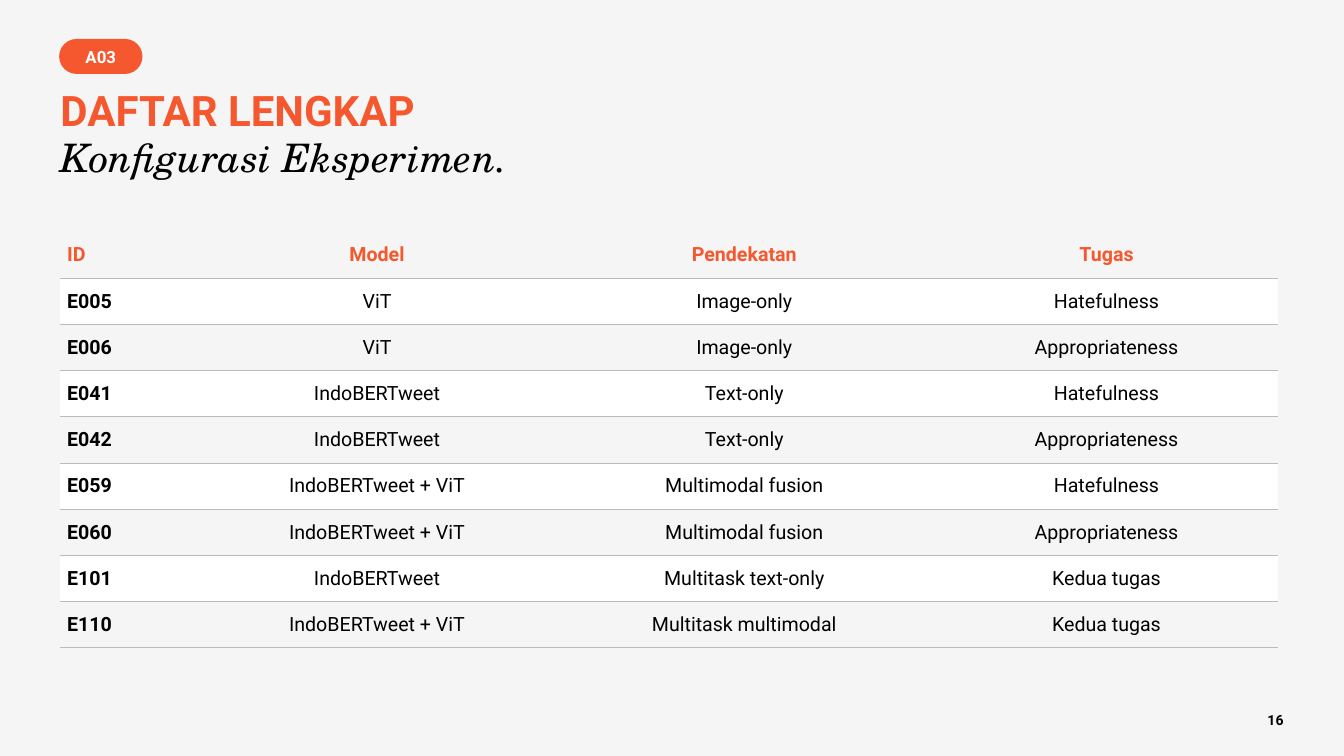
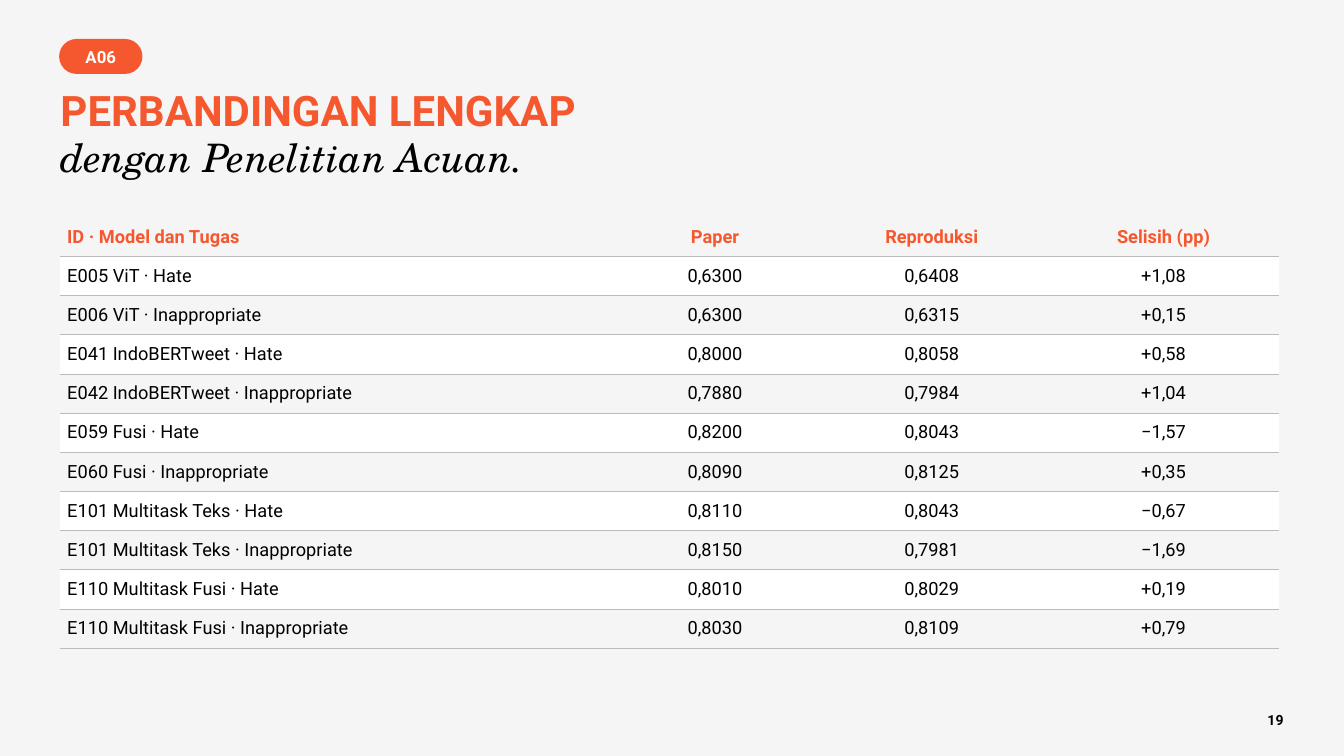
import dataclasses

import lxml.etree
import pptx
import pptx.dml.color
import pptx.enum.shapes
import pptx.enum.text
import pptx.oxml.ns
import pptx.util

Pt = pptx.util.Pt
qn = pptx.oxml.ns.qn
ALIGN = pptx.enum.text.PP_ALIGN
MIDDLE = pptx.enum.text.MSO_ANCHOR.MIDDLE
PLAIN_TABLE = "{2D5ABB26-0587-4C30-8999-92F81FD0307C}"


def rgb(code):
    return pptx.dml.color.RGBColor.from_string(code)


@dataclasses.dataclass(frozen=True)
class Theme:
    paper: str = "F5F5F5"
    accent: str = "F5582E"
    ink: str = "000000"
    white: str = "FFFFFF"
    rule: str = "BBBBBB"
    sans: str = "Roboto"
    serif: str = "TeX Gyre Schola"
    title: float = 45
    subtitle: float = 42
    tag: float = 18
    page: float = 15
    rule_width: float = 0.5
    margin: float = 64.8
    cell_inset: float = 7.2
    leading: float = 1.2


class Deck:
    def __init__(self, theme):
        self.theme = theme
        self.prs = pptx.Presentation()
        self.prs.slide_width = Pt(1440)
        self.prs.slide_height = Pt(810)
        self.slide = None

    def add_slide(self, tag, title, subtitle, page):
        self.slide = self.prs.slides.add_slide(self.prs.slide_layouts[6])
        fill = self.slide.background.fill
        fill.solid()
        fill.fore_color.rgb = rgb(self.theme.paper)
        self.page_number(page)
        self.tag(tag)
        self.heading(title, subtitle)

    def add_text(self, p, text, size, color, align=ALIGN.LEFT, bold=False,
                 italic=False, font=None, spacing=None):
        p.alignment = align
        p.line_spacing = Pt(spacing or size * self.theme.leading)
        r = p.add_run()
        r.text = text
        r.font.name = font or self.theme.sans
        r.font.size = Pt(size)
        r.font.bold = bold
        r.font.italic = italic
        r.font.color.rgb = rgb(color)

    def inset(self, box, value):
        box.margin_left = box.margin_right = Pt(value)
        box.margin_top = box.margin_bottom = Pt(value)

    def text_box(self, x, y, w, h):
        tf = self.slide.shapes.add_textbox(Pt(x), Pt(y), Pt(w), Pt(h)).text_frame
        tf.word_wrap = True
        self.inset(tf, 0)
        return tf

    def page_number(self, page):
        t = self.theme
        tf = self.text_box(1285.2, 762, 90, 24)
        self.add_text(tf.paragraphs[0], page, t.page, t.ink, ALIGN.RIGHT, bold=True)

    def tag(self, text):
        t = self.theme
        sp = self.slide.shapes.add_shape(
            pptx.enum.shapes.MSO_SHAPE.ROUNDED_RECTANGLE,
            Pt(t.margin - 0.7), Pt(42.5), Pt(87.8), Pt(36))
        sp.adjustments[0] = 0.5
        sp.shadow.inherit = False
        sp.fill.solid()
        sp.fill.fore_color.rgb = rgb(t.accent)
        sp.line.color.rgb = rgb(t.accent)
        sp.line.width = Pt(1.5)
        tf = sp.text_frame
        tf.vertical_anchor = MIDDLE
        self.inset(tf, 0)
        self.add_text(tf.paragraphs[0], text, t.tag, t.white, ALIGN.CENTER, bold=True)

    def heading(self, title, subtitle):
        t = self.theme
        tf = self.text_box(t.margin, 93.6, 1306.8, 111.6)
        self.add_text(tf.paragraphs[0], title, t.title, t.accent, bold=True,
                      spacing=51.3)
        self.add_text(tf.add_paragraph(), subtitle, t.subtitle, t.ink,
                      italic=True, font=t.serif, spacing=47.9)

    def border(self, cell, edge):
        t = self.theme
        ln = lxml.etree.Element(qn(f"a:{edge}"), w=str(Pt(t.rule_width)))
        fill = lxml.etree.SubElement(ln, qn("a:solidFill"))
        lxml.etree.SubElement(fill, qn("a:srgbClr"), val=t.rule)
        cell._tc.get_or_add_tcPr().insert(0, ln)

    def table(self, y, row_height, widths, size, rows, bold_ids=False):
        t = self.theme
        table = self.slide.shapes.add_table(
            len(rows), len(widths), Pt(t.margin), Pt(y),
            Pt(sum(widths)), Pt(row_height * len(rows))).table
        table.first_row = table.horz_banding = False
        table._tbl.tblPr.find(qn("a:tableStyleId")).text = PLAIN_TABLE
        for column, width in zip(table.columns, widths):
            column.width = Pt(width)
        for i, row in enumerate(rows):
            table.rows[i].height = Pt(row_height)
            for j, text in enumerate(row):
                cell = table.cell(i, j)
                cell.fill.solid()
                cell.fill.fore_color.rgb = rgb(t.white if i % 2 else t.paper)
                cell.vertical_anchor = MIDDLE
                self.inset(cell, t.cell_inset)
                self.border(cell, "lnB")
                if i:
                    self.border(cell, "lnT")
                self.add_text(cell.text_frame.paragraphs[0], text, size,
                              t.ink if i else t.accent,
                              ALIGN.CENTER if j else ALIGN.LEFT,
                              bold=i == 0 or (bold_ids and j == 0))


EXPERIMENTS = [
    ("ID", "Model", "Pendekatan", "Tugas"),
    ("E005", "ViT", "Image-only", "Hatefulness"),
    ("E006", "ViT", "Image-only", "Appropriateness"),
    ("E041", "IndoBERTweet", "Text-only", "Hatefulness"),
    ("E042", "IndoBERTweet", "Text-only", "Appropriateness"),
    ("E059", "IndoBERTweet + ViT", "Multimodal fusion", "Hatefulness"),
    ("E060", "IndoBERTweet + ViT", "Multimodal fusion", "Appropriateness"),
    ("E101", "IndoBERTweet", "Multitask text-only", "Kedua tugas"),
    ("E110", "IndoBERTweet + ViT", "Multitask multimodal", "Kedua tugas"),
]

COMPARISON = [
    ("ID · Model dan Tugas", "Paper", "Reproduksi", "Selisih (pp)"),
    ("E005 ViT · Hate", "0,6300", "0,6408", "+1,08"),
    ("E006 ViT · Inappropriate", "0,6300", "0,6315", "+0,15"),
    ("E041 IndoBERTweet · Hate", "0,8000", "0,8058", "+0,58"),
    ("E042 IndoBERTweet · Inappropriate", "0,7880", "0,7984", "+1,04"),
    ("E059 Fusi · Hate", "0,8200", "0,8043", "−1,57"),
    ("E060 Fusi · Inappropriate", "0,8090", "0,8125", "+0,35"),
    ("E101 Multitask Teks · Hate", "0,8110", "0,8043", "−0,67"),
    ("E101 Multitask Teks · Inappropriate", "0,8150", "0,7981", "−1,69"),
    ("E110 Multitask Fusi · Hate", "0,8010", "0,8029", "+0,19"),
    ("E110 Multitask Fusi · Inappropriate", "0,8030", "0,8109", "+0,79"),
]


def main():
    deck = Deck(Theme())
    deck.add_slide("A03", "DAFTAR LENGKAP", "Konfigurasi Eksperimen.", "16")
    deck.table(248.4, 49.5, (150.5, 377.3, 409.7, 366.5), 21, EXPERIMENTS,
               bold_ids=True)
    deck.add_slide("A06", "PERBANDINGAN LENGKAP", "dengan Penelitian Acuan.", "19")
    deck.table(232.5, 42, (593.3, 216, 248.4, 248.4), 19.5, COMPARISON)
    deck.prs.save("out.pptx")


if __name__ == "__main__":
    main()
